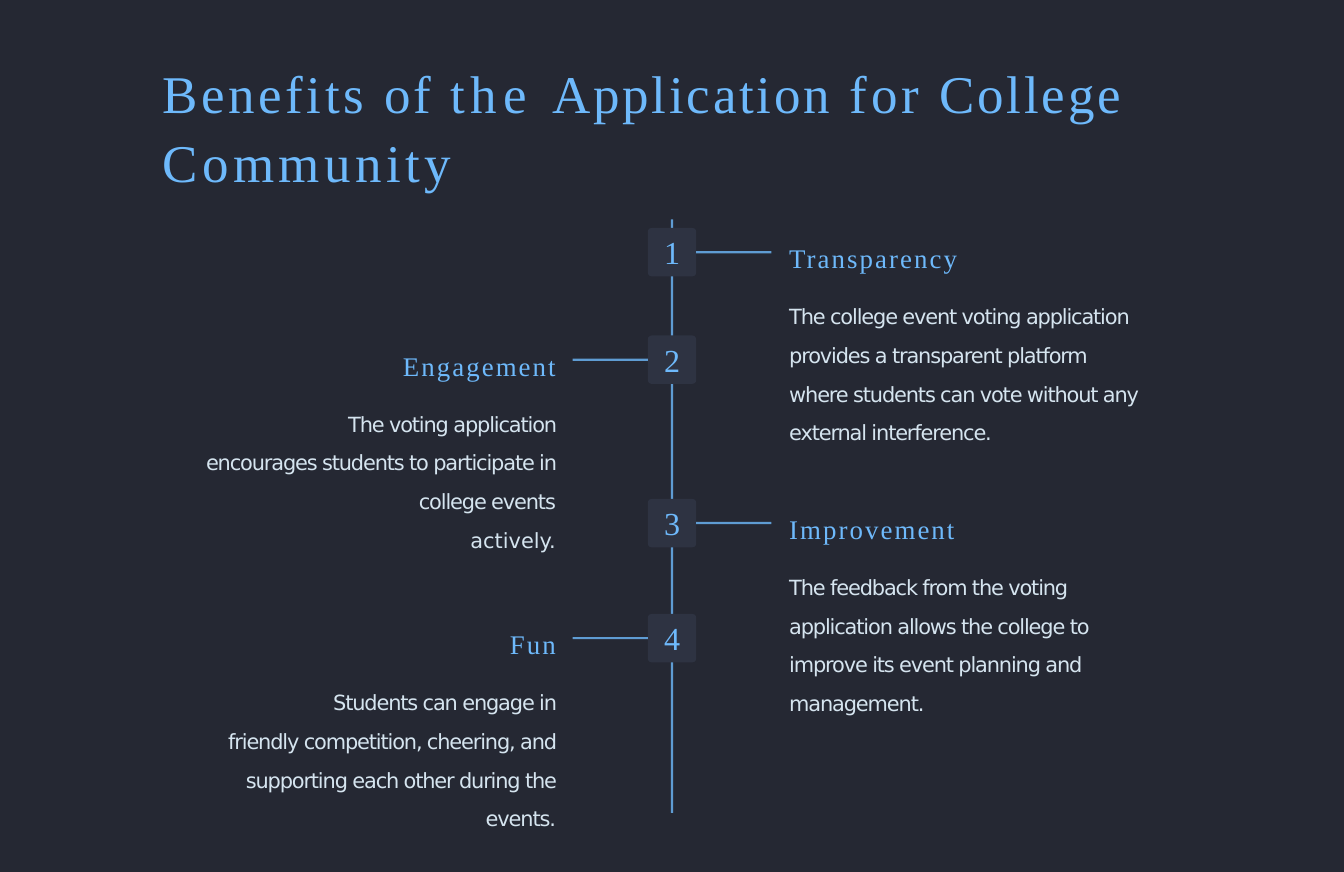
from dataclasses import dataclass

from lxml.etree import SubElement
from pptx import Presentation
from pptx.dml.color import RGBColor
from pptx.enum.shapes import MSO_CONNECTOR as Connector, MSO_SHAPE as Shape
from pptx.enum.text import MSO_ANCHOR as Anchor, PP_ALIGN as Align
from pptx.oxml.ns import qn
from pptx.util import Inches, Pt

# Content: title words with letter spacing in points
TITLE = [("Benefits ", 2.4), ("of ", 1.8), ("the ", 4), ("Application ", 1.9),
         ("for ", 2.4), ("College ", 1.9), ("Community", 3)]

# Content: badge top, side, heading, body, closing line
BENEFITS = [
    (2.12, "right", "Transparency",
     "The college event voting application provides a transparent platform "
     "where students can vote without any external interference.", ""),
    (3.12, "left", "Engagement",
     "The voting application encourages students to participate in "
     "college events", "actively."),
    (4.64, "right", "Improvement",
     "The feedback from the voting application allows the college to "
     "improve its event planning and management.", ""),
    (5.71, "left", "Fun",
     "Students can engage in friendly competition, cheering, and "
     "supporting each other during the events.", ""),
]


@dataclass(frozen=True)
class Theme:
    background: str = "252833"
    accent: str = "6EB9FB"
    badge: str = "2E3342"
    body: str = "D5E4EF"
    serif: str = "Times New Roman"
    sans: str = "DejaVu Sans"
    title_size: float = 35.5
    number_size: float = 21.5
    heading_size: float = 18
    body_size: float = 14


THEME = Theme()

# Layout, in inches
CENTER, BADGE, BRANCH = 6.25, 0.45, 0.7
SPINE_TOP, SPINE_BOTTOM = 2.04, 7.56
TEXT_DROP, TEXT_HEIGHT = 0.11, 1.9
COLUMNS = {  # left, width, alignment, first-line indent, badge side, direction
    "right": (7.34, 3.25, Align.LEFT, 0, 3, 1),
    "left": (1.72, 3.45, Align.RIGHT, 0.8, 1, -1),
}


def color(value):
    return RGBColor.from_string(value)


def write(paragraph, text, *, size, font=THEME.serif, fill=THEME.accent,
          spacing=0, align=Align.LEFT, line=1.0, before=0, indent=0):
    """Fill a paragraph with text, or with (text, letter spacing) pairs."""
    paragraph.alignment = align
    paragraph.line_spacing = line
    paragraph.space_before = Pt(before)
    if indent:
        paragraph._p.get_or_add_pPr().set("indent", str(Inches(indent)))
    pieces = [(text, spacing)] if isinstance(text, str) else text
    for words, gap in pieces:
        run = paragraph.add_run()
        run.text = words
        run.font.size = Pt(size)
        run.font.name = font
        run.font.color.rgb = color(fill)
        run._r.get_or_add_rPr().set("spc", str(round(gap * 100)))


def set_margins(frame, top=0):
    frame.margin_left = frame.margin_right = frame.margin_bottom = 0
    frame.margin_top = Inches(top)
    frame.word_wrap = True


def add_text_frame(slide, left, top, width, height):
    box = slide.shapes.add_textbox(*map(Inches, (left, top, width, height)))
    set_margins(box.text_frame, top=0.02)
    return box.text_frame


def add_line(slide, x1, y1, x2, y2):
    line = slide.shapes.add_connector(
        Connector.STRAIGHT, *map(Inches, (x1, y1, x2, y2)))
    line.line.color.rgb = color(THEME.accent)
    line.line.width = Pt(1.5)
    properties = line._element.spPr
    tint = properties.find(".//" + qn("a:srgbClr"))
    SubElement(tint, qn("a:alpha")).set("val", "80000")
    SubElement(properties, qn("a:effectLst"))
    return line


def add_badge(slide, top, number):
    badge = slide.shapes.add_shape(
        Shape.ROUNDED_RECTANGLE,
        *map(Inches, (CENTER - BADGE / 2, top, BADGE, BADGE)))
    badge.adjustments[0] = 0.08
    badge.shadow.inherit = False
    badge.fill.solid()
    badge.fill.fore_color.rgb = color(THEME.badge)
    badge.line.fill.background()
    set_margins(badge.text_frame)
    badge.text_frame.vertical_anchor = Anchor.MIDDLE
    write(badge.text_frame.paragraphs[0], str(number),
          size=THEME.number_size, align=Align.CENTER)
    return badge


def add_benefit(slide, number, top, side, heading, body, closing):
    left, width, align, indent, site, direction = COLUMNS[side]
    badge = add_badge(slide, top, number)

    # Branch from the badge towards its text
    middle = top + BADGE / 2
    start = CENTER + direction * BADGE / 2
    branch = add_line(slide, start, middle, start + direction * BRANCH, middle)
    branch.begin_connect(badge, site)

    # Heading and body
    frame = add_text_frame(slide, left, top + TEXT_DROP, width, TEXT_HEIGHT)
    write(frame.paragraphs[0], heading, size=THEME.heading_size,
          spacing=1.4, align=align)
    body_style = dict(size=THEME.body_size, font=THEME.sans,
                      fill=THEME.body, align=align)
    write(frame.add_paragraph(), body, spacing=-0.8, line=1.54,
          before=10.8, indent=indent, **body_style)
    if closing:
        write(frame.add_paragraph(), closing, before=9.4, **body_style)


def main():
    presentation = Presentation()
    presentation.slide_width = Inches(12.5)
    presentation.slide_height = Inches(8.11)
    slide = presentation.slides.add_slide(presentation.slide_layouts[6])
    slide.background.fill.solid()
    slide.background.fill.fore_color.rgb = color(THEME.background)

    # Title
    title = add_text_frame(slide, 1.51, 0.49, 9.49, 1.32)
    write(title.paragraphs[0], TITLE, size=THEME.title_size, line=1.09)

    # Timeline
    add_line(slide, CENTER, SPINE_TOP, CENTER, SPINE_BOTTOM)
    for number, benefit in enumerate(BENEFITS, start=1):
        add_benefit(slide, number, *benefit)

    presentation.save("out.pptx")


if __name__ == "__main__":
    main()
